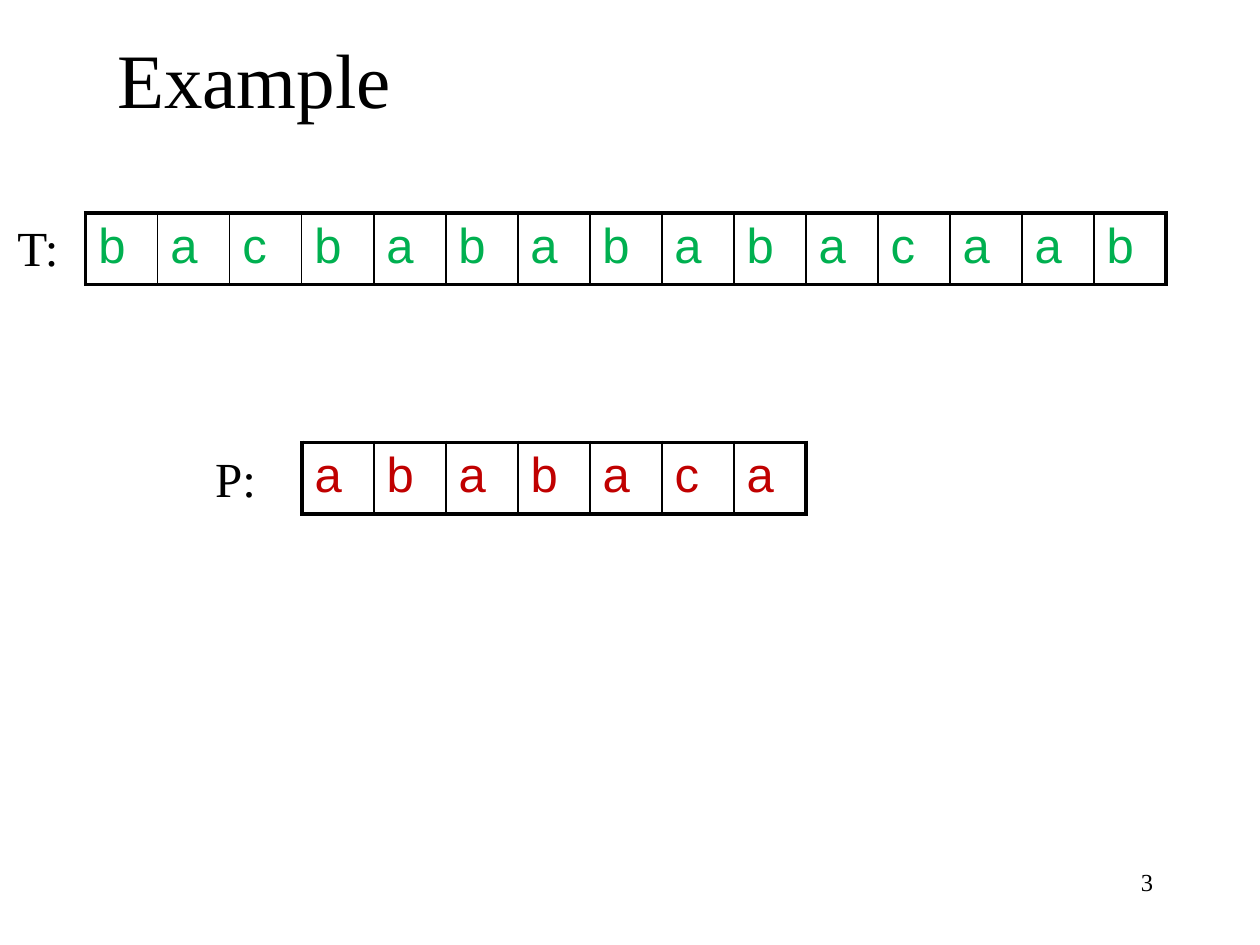
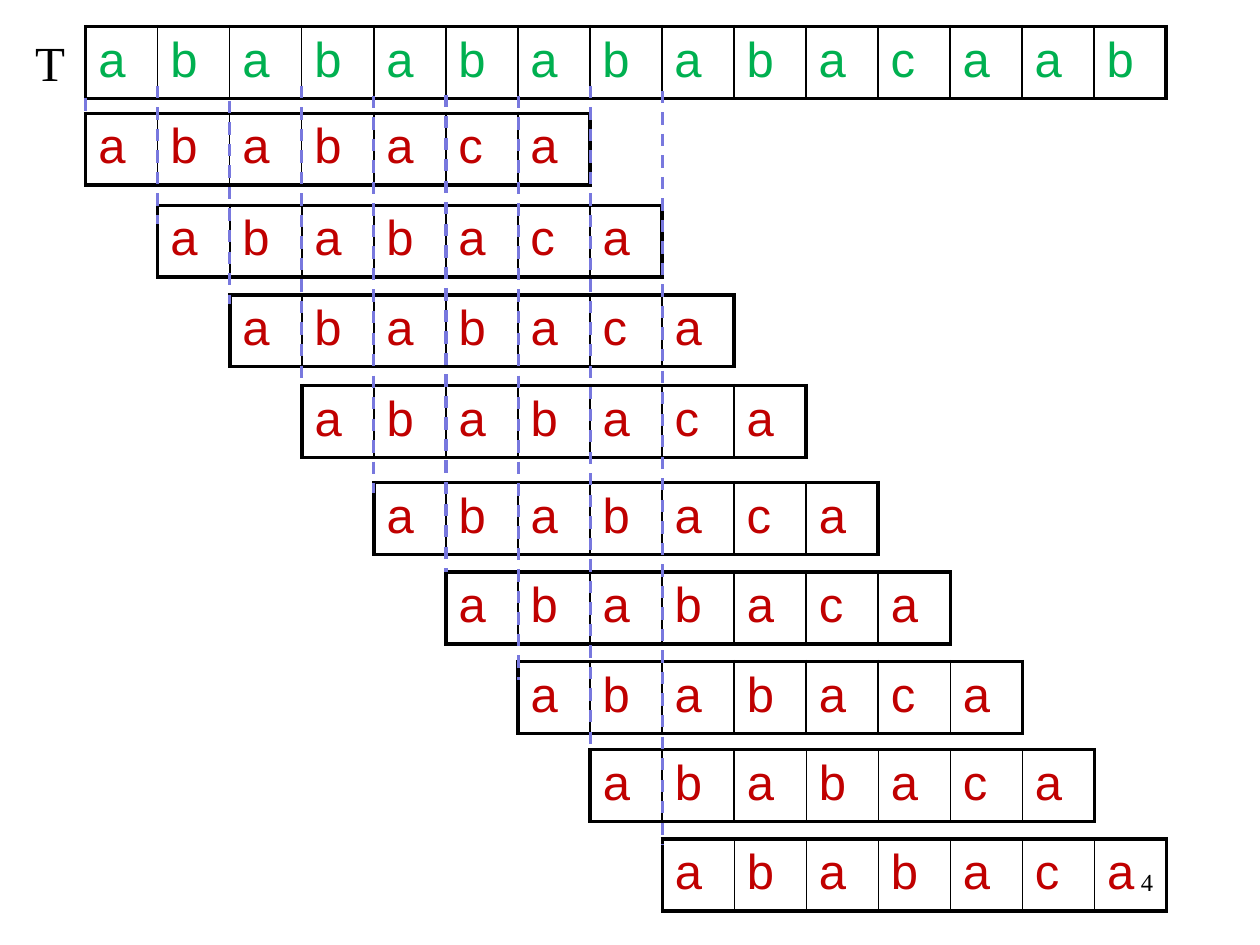
from lxml.etree import SubElement
from pptx import Presentation
from pptx.dml.color import RGBColor
from pptx.enum.dml import MSO_LINE
from pptx.enum.shapes import MSO_CONNECTOR
from pptx.enum.text import MSO_ANCHOR, MSO_AUTO_SIZE, PP_ALIGN
from pptx.oxml.ns import qn
from pptx.util import Inches, Pt

BLACK = RGBColor(0x00, 0x00, 0x00)
GREEN = RGBColor(0x00, 0xB0, 0x50)
RED = RGBColor(0xC0, 0x00, 0x00)
VIOLET = RGBColor(0x78, 0x78, 0xDE)
SERIF, SANS = "Times New Roman", "Arial"

TITLE = "Example"
PATTERN = "ababaca"
SEARCH_TEXT = "bacbababacaab"[:5] + "bababacaab"
SHIFT_TEXT = "abababababacaab"
SHIFT_TOPS = [0.9, 1.63, 2.34, 3.06, 3.83, 4.54, 5.25, 5.95, 6.66]
GUIDES = [(0.78, 0.92), (0.68, 1.78), (0.8, 2.41), (0.68, 3.04), (0.76, 3.91),
          (0.75, 4.54), (0.76, 5.4), (0.68, 5.95), (0.72, 6.71)]

GRID_LEFT = 0.68
CELL = 8.58 / len(SHIFT_TEXT)
ROW = 0.57
OUTER, INNER = 2.25, 1


def column_x(column):
    return GRID_LEFT + column * CELL


def add_run(p, text, size, font=SERIF, color=BLACK):
    r = p.add_run()
    r.text = text
    r.font.size = Pt(size)
    r.font.name = font
    r.font.bold = False
    r.font.color.rgb = color


def add_label(s, text, left, top, width):
    tf = s.shapes.add_textbox(Inches(left), Inches(top), Inches(width), Inches(ROW)).text_frame
    tf.word_wrap = False
    tf.auto_size = MSO_AUTO_SIZE.SHAPE_TO_FIT_TEXT
    add_run(tf.paragraphs[0], text, 28)


def add_number(s, number):
    tf = s.shapes.add_textbox(Inches(7.17), Inches(6.83), Inches(2.08), Inches(0.5)).text_frame
    tf.word_wrap = True
    p = tf.paragraphs[0]
    p.alignment = PP_ALIGN.RIGHT
    add_run(p, str(number), 14)


def set_borders(cell, first, last):
    tc_pr = cell._tc.get_or_add_tcPr()
    widths = {"L": OUTER if first else INNER, "R": OUTER if last else INNER,
              "T": OUTER, "B": OUTER}
    for side, width in widths.items():
        ln = SubElement(tc_pr, qn(f"a:ln{side}"), w=str(Pt(width)))
        fill = SubElement(ln, qn("a:solidFill"))
        SubElement(fill, qn("a:srgbClr"), val=str(BLACK))


def add_letters(s, letters, column, top, color, row=ROW):
    n = len(letters)
    table = s.shapes.add_table(1, n, Inches(column_x(column)), Inches(top),
                               Inches(n * CELL), Inches(row)).table
    table.first_row = table.horz_banding = False
    for i, letter in enumerate(letters):
        table.columns[i].width = Inches(CELL)
        cell = table.cell(0, i)
        set_borders(cell, i == 0, i == n - 1)
        cell.fill.background()
        add_run(cell.text_frame.paragraphs[0], letter, 28, SANS, color)


def add_guide(s, column, top, bottom):
    x = Inches(column_x(column))
    guide = s.shapes.add_connector(MSO_CONNECTOR.STRAIGHT, x, Inches(top), x, Inches(bottom))
    guide.line.color.rgb = VIOLET
    guide.line.width = Pt(1.75)
    guide.line.dash_style = MSO_LINE.DASH
    SubElement(guide._element.spPr, qn("a:effectLst"))


def build_example(prs):
    s = prs.slides.add_slide(prs.slide_layouts[5])
    title = s.shapes.title
    title.left, title.top, title.width, title.height = map(Inches, (0.83, 0.22, 8.5, 0.8))
    tf = title.text_frame
    tf.vertical_anchor = MSO_ANCHOR.MIDDLE
    p = tf.paragraphs[0]
    p.alignment = PP_ALIGN.LEFT
    add_run(p, TITLE, 44)
    add_number(s, 3)
    add_letters(s, SEARCH_TEXT, 0, 1.69, GREEN, row=0.47)
    add_letters(s, PATTERN, 3, 3.51, RED)
    add_label(s, "T:", 0.04, 1.68, 0.53)
    add_label(s, "P:", 1.61, 3.51, 0.63)


def build_shifts(prs):
    s = prs.slides.add_slide(prs.slide_layouts[6])
    add_number(s, 4)
    add_letters(s, SHIFT_TEXT, 0, 0.21, GREEN)
    add_label(s, "T", 0.18, 0.21, 0.44)
    for column, top in enumerate(SHIFT_TOPS):
        add_letters(s, PATTERN, column, top, RED)
    for column, (top, bottom) in enumerate(GUIDES):
        add_guide(s, column, top, bottom)


def main():
    prs = Presentation()
    prs.slide_width, prs.slide_height = Inches(10), Inches(7.5)
    build_example(prs)
    build_shifts(prs)
    prs.save("out.pptx")


if __name__ == "__main__":
    main()
